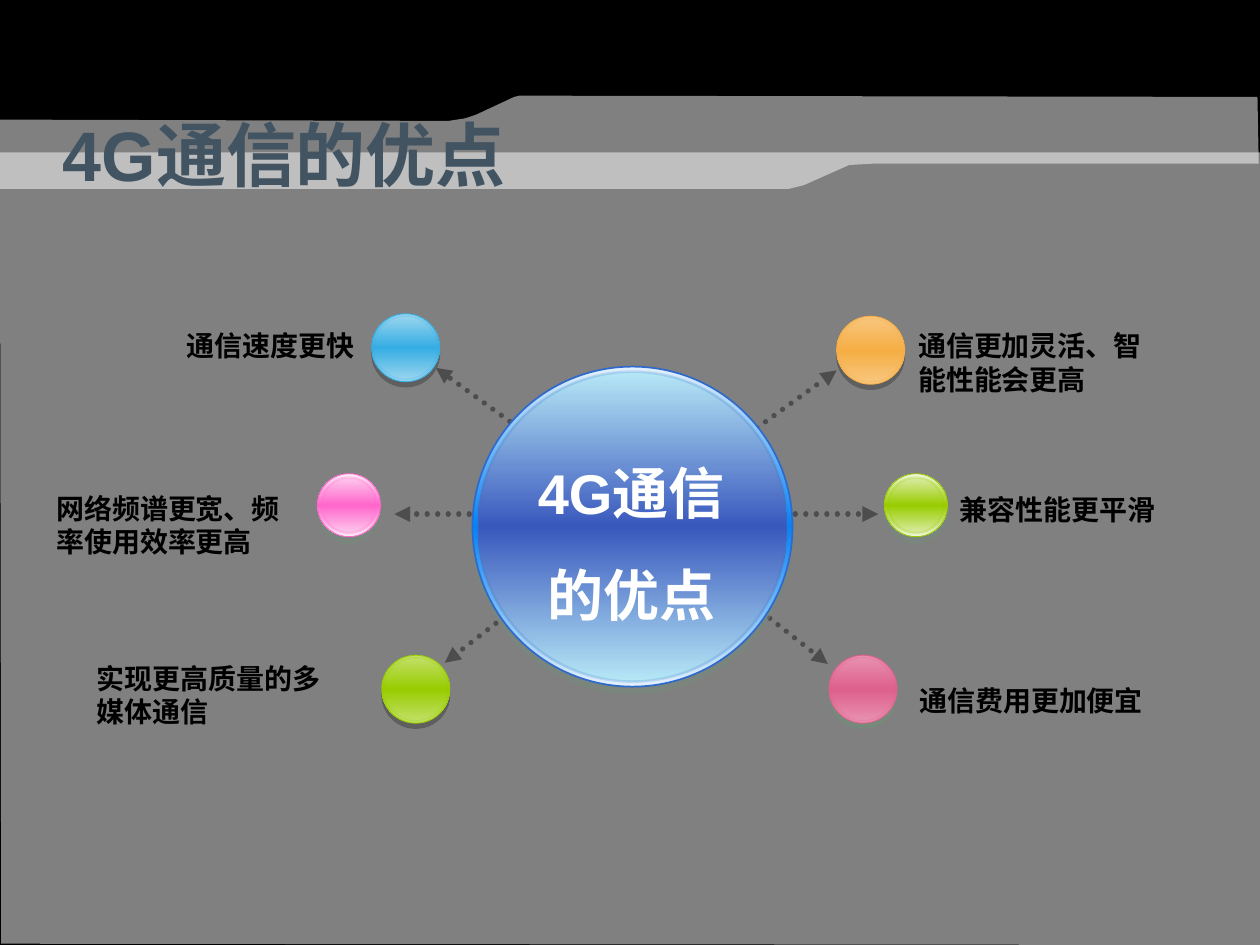
import copy

import pptx
import pptx.dml.color
import pptx.enum.dml
import pptx.enum.shapes
import pptx.enum.text
import pptx.oxml
import pptx.oxml.ns
import pptx.util

Inches, Pt = pptx.util.Inches, pptx.util.Pt
qn = pptx.oxml.ns.qn
ALIGN = pptx.enum.text.PP_ALIGN
ANCHOR = pptx.enum.text.MSO_ANCHOR

COLOURS = {
    "back": "000000", "veil": "FFFFFF", "title": "425462", "label": "000000",
    "hub text": "FFFFFF", "arrow": "4D4D4D", "soft": "768A7B", "hard": "5F5F5F",
    "rim line": "2F6ACB", "rim edge": "E4F1FD", "rim": "0383F7",
    "hub line": "3376C7", "hub edge": "B6E7F6", "hub": "3958BD",
    "orange": "F6AE44", "orange edge": "F7C57B", "blue": "35ADE3", "blue edge": "97D4EF",
    "green": "99CC00", "green edge": "C0DF64", "rose": "DE608D", "rose edge": "E78FAE",
    "lime edge": "DAECA5", "lime rim": "F3F8E4",
    "pink": "FF66CC", "pink edge": "FEC8EC", "pink rim": "FEEEF8",
}

CENTRE = (5.06, 4.08)
SOFT = ("soft", 50, 4)
HARD = ("hard", 100, 3)
BALL = {"size": 0.54, "inset": 0.02, "inner_width": 0.75}
RING = {"size": 0.5, "inset": 0.03, "inner_width": 1.5, "shadow": SOFT}

# arrow tip, ball corner, ball format, label box, label text, label alignment
BRANCHES = [
    ((6.64, 2.94), (6.64, 2.51),
     dict(BALL, colour="orange", edge="orange edge", rim="orange edge", shadow=HARD),
     (7.19, 2.56, 2.14, 0.64), "通信更加灵活、智能性能会更高", ALIGN.LEFT),
    ((6.97, 4.08), (7.02, 3.76), dict(RING, colour="green", edge="lime edge", rim="lime rim"),
     (7.52, 3.86, 2.14, 0.37), "兼容性能更平滑", ALIGN.LEFT),
    ((6.57, 5.27), (6.58, 5.2),
     dict(BALL, colour="rose", edge="rose edge", rim="rose edge", shadow=("soft", 100, 3)),
     (7.2, 5.38, 2.13, 0.37), "通信费用更加便宜", ALIGN.LEFT),
    ((3.46, 2.92), (2.95, 2.49),
     dict(BALL, colour="blue", edge="blue edge", rim="blue edge", shadow=HARD),
     (0.77, 2.56, 2.14, 0.37), "通信速度更快", ALIGN.RIGHT),
    ((3.13, 4.08), (2.52, 3.76), dict(RING, colour="pink", edge="pink edge", rim="pink rim"),
     (0.35, 3.85, 2.14, 0.64), "网络频谱更宽、频率使用效率更高", ALIGN.LEFT),
    ((3.53, 5.26), (3.03, 5.2),
     dict(BALL, colour="green", edge="green edge", rim="green edge", shadow=HARD),
     (0.67, 5.2, 2.14, 0.64), "实现更高质量的多媒体通信", ALIGN.LEFT),
]


def rgb(name):
    return pptx.dml.color.RGBColor.from_string(COLOURS[name])


def add_child(parent, tag, **attributes):
    child = parent.makeelement(qn(tag), {key: str(value) for key, value in attributes.items()})
    parent.append(child)
    return child


def set_opacity(properties, percent):
    """Make the first plain colour below the element partly transparent."""
    colour = next(properties.iter(qn("a:srgbClr")))
    add_child(colour, "a:alpha", val=percent * 1000)


def add_text(page, box, text, size=16, colour="label", align=ALIGN.LEFT,
             anchor=ANCHOR.TOP, gap=0, grow=True):
    frame = page.shapes.add_textbox(*map(Inches, box)).text_frame
    frame.word_wrap = True
    frame.vertical_anchor = anchor
    if grow:
        frame.auto_size = pptx.enum.text.MSO_AUTO_SIZE.SHAPE_TO_FIT_TEXT
    for index, line in enumerate(text.split("\n")):
        para = frame.paragraphs[0] if index == 0 else frame.add_paragraph()
        para.alignment = align
        if index:
            para.space_before = Pt(gap)
        span = para.add_run()
        span.text = line
        span.font.name, span.font.size, span.font.bold = "Arial", Pt(size), True
        span.font.color.rgb = rgb(colour)


def add_veil(page, points):
    """Add a half-transparent outline through the points."""
    points = [(Inches(x), Inches(y)) for x, y in points]
    builder = page.shapes.build_freeform(*points[0], scale=1.0)
    builder.add_line_segments(points[1:], close=True)
    veil = builder.convert_to_shape()
    veil.shadow.inherit = False
    veil.fill.solid()
    veil.fill.fore_color.rgb = rgb("veil")
    set_opacity(veil._element.spPr, 50)
    veil.line.fill.background()


def add_disc(page, left, top, size, edge, middle, line, line_width, shadow=None, opacity=None):
    """Add a circle shaded from edge to middle to edge."""
    disc = page.shapes.add_shape(pptx.enum.shapes.MSO_SHAPE.OVAL, Inches(left), Inches(top),
                                 Inches(size), Inches(size))
    disc.fill.gradient()
    disc.fill.gradient_angle = 90
    stops = next(disc._element.spPr.iter(qn("a:gsLst")))
    stops.append(copy.deepcopy(stops[0]))
    for stop, place, colour in zip(disc.fill.gradient_stops, (0, 0.5, 1), (edge, middle, edge)):
        stop.position = place
        stop.color.rgb = rgb(colour)
    disc.line.color.rgb = rgb(line)
    disc.line.width = Pt(line_width)
    if opacity:
        set_opacity(disc.line._ln, opacity)
    disc.shadow.inherit = False
    if shadow:
        colour, percent, distance = shadow
        effects = disc._element.spPr.find(qn("a:effectLst"))
        cast = add_child(effects, "a:outerShdw", blurRad=0, dist=int(Pt(distance)),
                         dir=5400000, algn="ctr", rotWithShape=0)
        add_child(cast, "a:srgbClr", val=COLOURS[colour])
        set_opacity(cast, percent)


def add_ball(page, corner, size, inset, colour, edge, rim, shadow, inner_width):
    left, top = corner
    add_disc(page, left, top, size, rim, colour, colour, 0.5, shadow=shadow)
    add_disc(page, left + inset, top + inset, size - 2 * inset, edge, colour, colour,
             inner_width, opacity=20)


def add_arrow(page, start, end):
    arrow = page.shapes.add_connector(pptx.enum.shapes.MSO_CONNECTOR.STRAIGHT,
                                      *map(Inches, start + end))
    arrow.line.color.rgb = rgb("arrow")
    arrow.line.width = Pt(3)
    arrow.line.dash_style = pptx.enum.dml.MSO_LINE.ROUND_DOT
    outline = arrow.line._ln
    outline.set("cap", "rnd")
    add_child(outline, "a:tailEnd", type="triangle")
    add_child(arrow._element.spPr, "a:effectLst")


def add_backdrop(page):
    page.background.fill.solid()
    page.background.fill.fore_color.rgb = rgb("back")
    add_veil(page, [(0.01, 7.49), (10.03, 7.5), (10, 1.21), (0, 1.21)])
    add_veil(page, [(9.98, 0.77), (4.26, 0.76), (4.12, 0.76), (4.08, 0.77), (3.78, 0.91),
                    (3.69, 0.94), (3.56, 0.96), (0, 0.95), (0, 1.5), (6.26, 1.5),
                    (6.38, 1.47), (6.74, 1.31), (6.92, 1.3), (9.99, 1.3)])


def add_hub(page, left, top, size):
    inset = 0.04
    add_disc(page, left, top, size, "rim edge", "rim", "rim line", 1, shadow=SOFT)
    add_disc(page, left + inset, top + inset, size - 2 * inset, "hub edge", "hub",
             "hub line", 1.5, opacity=20)
    add_text(page, (left - 0.03, top + 0.68, size + 0.04, 1.45), "4G通信\n的优点", size=32,
             colour="hub text", align=ALIGN.CENTER, gap=20)


def add_branches(page):
    for _, corner, style, label_box, label, align in BRANCHES:
        add_ball(page, corner, **style)
        add_text(page, label_box, label, align=align)


def main():
    deck = pptx.Presentation()
    deck.slide_width, deck.slide_height = Inches(10), Inches(7.5)
    page = deck.slides.add_slide(deck.slide_layouts[6])
    add_backdrop(page)
    add_text(page, (0.4, 0.85, 9.19, 0.74), "4G通信的优点", size=40, colour="title",
             anchor=ANCHOR.MIDDLE, grow=False)
    for tip, *_ in BRANCHES:
        add_arrow(page, CENTRE, tip)
    add_hub(page, 3.75, 2.91, 2.54)
    add_branches(page)
    deck.save("out.pptx")


if __name__ == "__main__":
    main()
